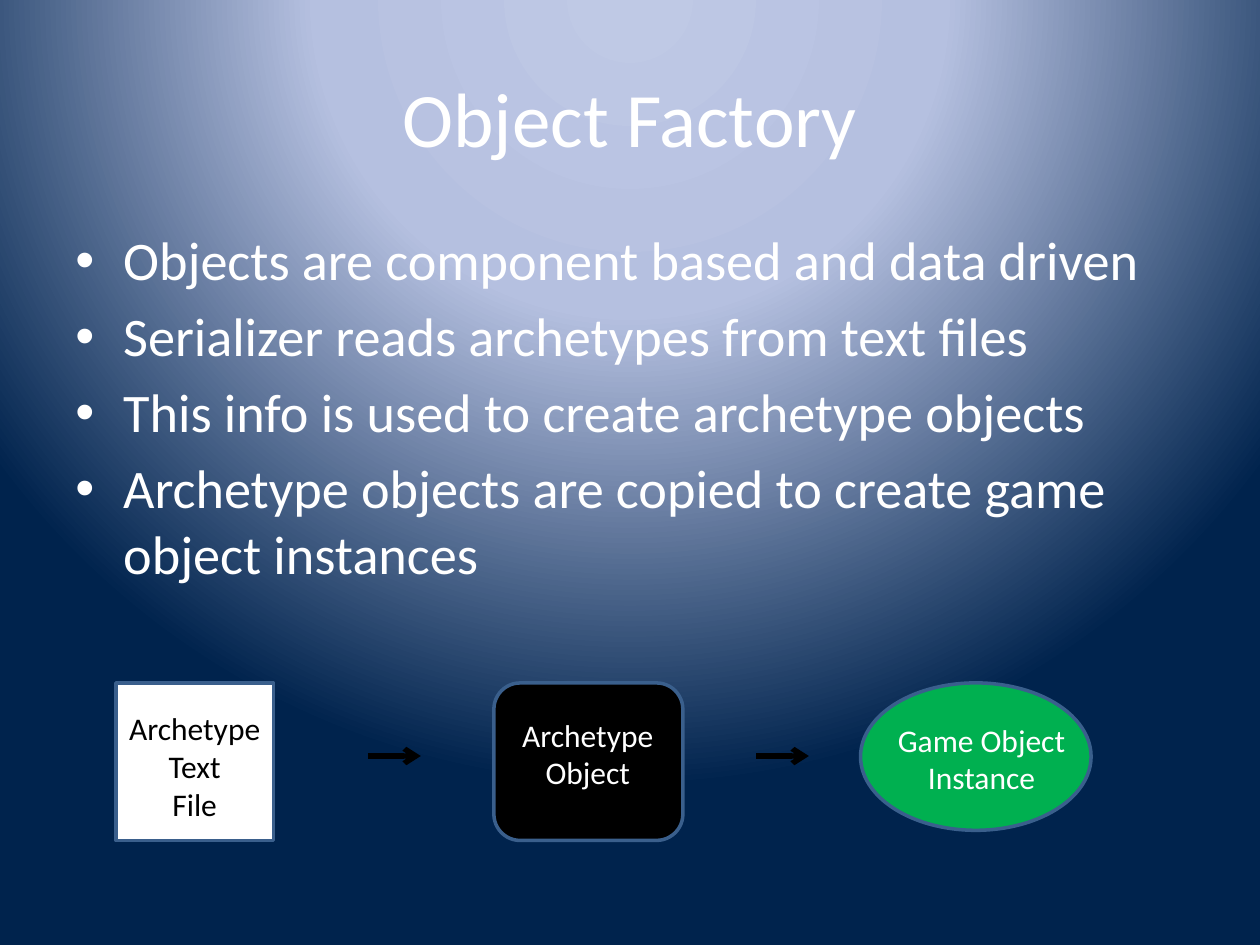
import pptx
import pptx.dml.color
import pptx.enum.shapes
import pptx.enum.text
import pptx.oxml
import pptx.oxml.ns
import pptx.util
from pptx.util import Inches

COLORS = {"white": "FFFFFF", "black": "000000", "green": "00B050", "outline": "3A5F8C",
          "glow": "BFC9E5", "haze": "B5C0E0", "navy": "00234D"}
FONT = "Calibri"
SHAPES = pptx.enum.shapes.MSO_SHAPE
CENTER = pptx.enum.text.PP_ALIGN.CENTER
BULLETS = [
    "Objects are component based and data driven",
    "Serializer reads archetypes from text files",
    "This info is used to create archetype objects",
    "Archetype objects are copied to create game object instances",
]
STAGES = [
    (SHAPES.RECTANGLE, (0, 0, 1.25, 1.25), "white", "black",
     (0, 0.16, 1.25, 1.01), False, ["Archetype", "Text", "File"]),
    (SHAPES.ROUNDED_RECTANGLE, (3, 0, 1.5, 1.25), "black", "white",
     (0.08, 0.21, 1.33, 0.71), True, ["Archetype", "Object"]),
    (SHAPES.OVAL, (5.91, 0, 1.83, 1.17), "green", "white",
     (0.17, 0.25, 1.58, 0.71), True, ["Game Object", "Instance"]),
]
ARROW_STARTS = [2, 5.08]


def rgb(name):
    """Return the named palette colour."""
    return pptx.dml.color.RGBColor.from_string(COLORS[name])


def drawing_xml(tag, attributes="", content=""):
    """Return a DrawingML element."""
    namespace = pptx.oxml.ns.nsdecls("a")
    return pptx.oxml.parse_xml(f"<a:{tag} {namespace} {attributes}>{content}</a:{tag}>")


def write_lines(frame, lines, size, color, **paragraph_format):
    """Fill a text frame with one paragraph per line."""
    font_format = {"name": FONT, "size": pptx.util.Pt(size)}
    for index, line in enumerate(lines):
        paragraph = frame.paragraphs[0] if index == 0 else frame.add_paragraph()
        run = paragraph.add_run()
        run.text = line
        run.font.color.rgb = rgb(color)
        for target, values in ((run.font, font_format), (paragraph, paragraph_format)):
            for attribute, value in values.items():
                setattr(target, attribute, value)


def add_background(slide):
    """Fill the slide with a circular glow that fades to navy."""
    slide.background.fill.solid()
    properties = slide.element.find(".//" + pptx.oxml.ns.qn("p:bgPr"))
    stops = "".join(
        f'<a:gs pos="{position * 1000}"><a:srgbClr val="{COLORS[name]}"/></a:gs>'
        for position, name in ((0, "glow"), (40, "haze"), (100, "navy")))
    content = (f'<a:gsLst>{stops}</a:gsLst><a:path path="circle">'
               '<a:fillToRect l="50000" t="-80000" r="50000" b="180000"/></a:path>')
    properties.replace(properties[0], drawing_xml("gradFill", 'rotWithShape="1"', content))


def add_title(slide, left, top, width, height):
    """Place and format the slide title."""
    title = slide.shapes.title
    box = {"left": left, "top": top, "width": width, "height": height}
    for attribute, value in box.items():
        setattr(title, attribute, Inches(value))
    title.text_frame.vertical_anchor = pptx.enum.text.MSO_ANCHOR.MIDDLE
    write_lines(title.text_frame, ["Object Factory"], 44, "white", alignment=CENTER)


def add_bullets(slide, left, top, width, height):
    """Write the bulleted points."""
    points = slide.shapes.add_textbox(*map(Inches, (left, top, width, height))).text_frame
    points.word_wrap = True
    write_lines(points, BULLETS, 31, "white", space_before=pptx.util.Pt(6.2))
    for paragraph in points.paragraphs:
        properties = paragraph._p.get_or_add_pPr()
        properties.set("marL", str(Inches(0.38)))
        properties.set("indent", str(Inches(-0.38)))
        properties.append(drawing_xml("buFont", 'typeface="Arial"'))
        properties.append(drawing_xml("buChar", 'char="•"'))


def add_stage(slide, left, top, stage):
    """Draw one stage of the factory with its label."""
    kind, (x, y, width, height), fill, ink, label_box, wrap, lines = stage
    left, top = left + x, top + y
    body = slide.shapes.add_shape(kind, *map(Inches, (left, top, width, height)))
    body.shadow.inherit = False
    body.fill.solid()
    body.fill.fore_color.rgb = rgb(fill)
    body.line.color.rgb = rgb("outline")
    body.line.width = pptx.util.Pt(2)
    dx, dy, label_width, label_height = label_box
    label = slide.shapes.add_textbox(
        *map(Inches, (left + dx, top + dy, label_width, label_height))).text_frame
    label.word_wrap = wrap
    label.auto_size = pptx.enum.text.MSO_AUTO_SIZE.SHAPE_TO_FIT_TEXT
    write_lines(label, lines, 18, ink, alignment=CENTER)


def add_arrow(slide, left, top, length):
    """Draw an arrow to the right."""
    arrow = slide.shapes.add_connector(
        pptx.enum.shapes.MSO_CONNECTOR.STRAIGHT,
        *map(Inches, (left, top, left + length, top)))
    arrow.line.color.rgb = rgb("black")
    arrow.line.width = pptx.util.Pt(3)
    arrow.line._get_or_add_ln().append(drawing_xml("tailEnd", 'type="arrow"'))
    arrow._element.spPr.append(drawing_xml("effectLst"))


def add_factory_flow(slide, left, top):
    """Lay out the stages from text file to game object."""
    for stage in STAGES:
        add_stage(slide, left, top, stage)
    for start in ARROW_STARTS:
        add_arrow(slide, left + start, top + 0.58, 0.42)


def main():
    """Build and save the slide."""
    presentation = pptx.Presentation()
    presentation.slide_width = Inches(10)
    presentation.slide_height = Inches(7.5)
    slide = presentation.slides.add_slide(presentation.slide_layouts.get_by_name("Title Only"))
    add_background(slide)
    add_title(slide, 0.5, 0.3, 9, 1.25)
    add_bullets(slide, 0.5, 1.75, 9, 4.95)
    add_factory_flow(slide, 0.92, 5.42)
    presentation.save("out.pptx")


if __name__ == "__main__":
    main()
